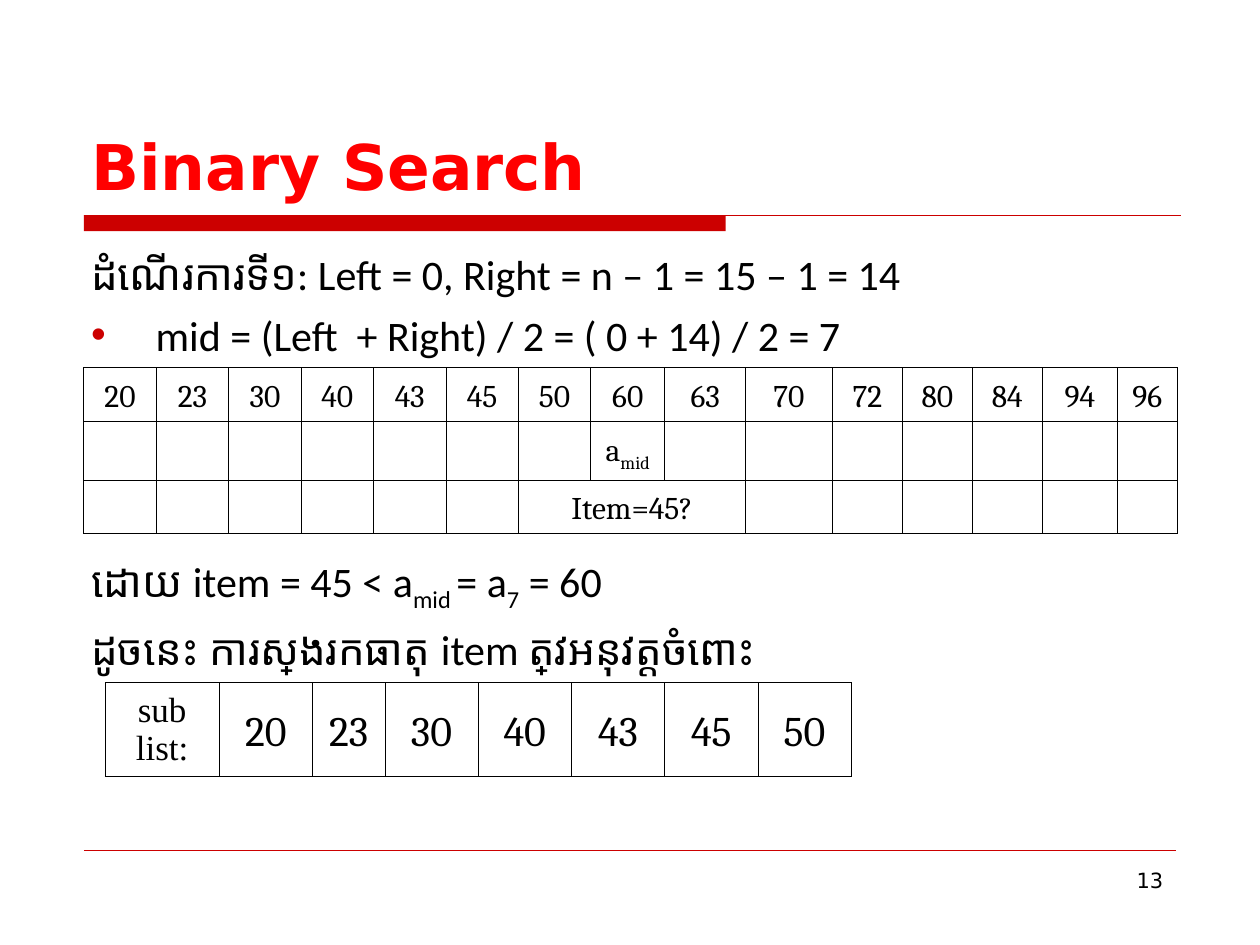
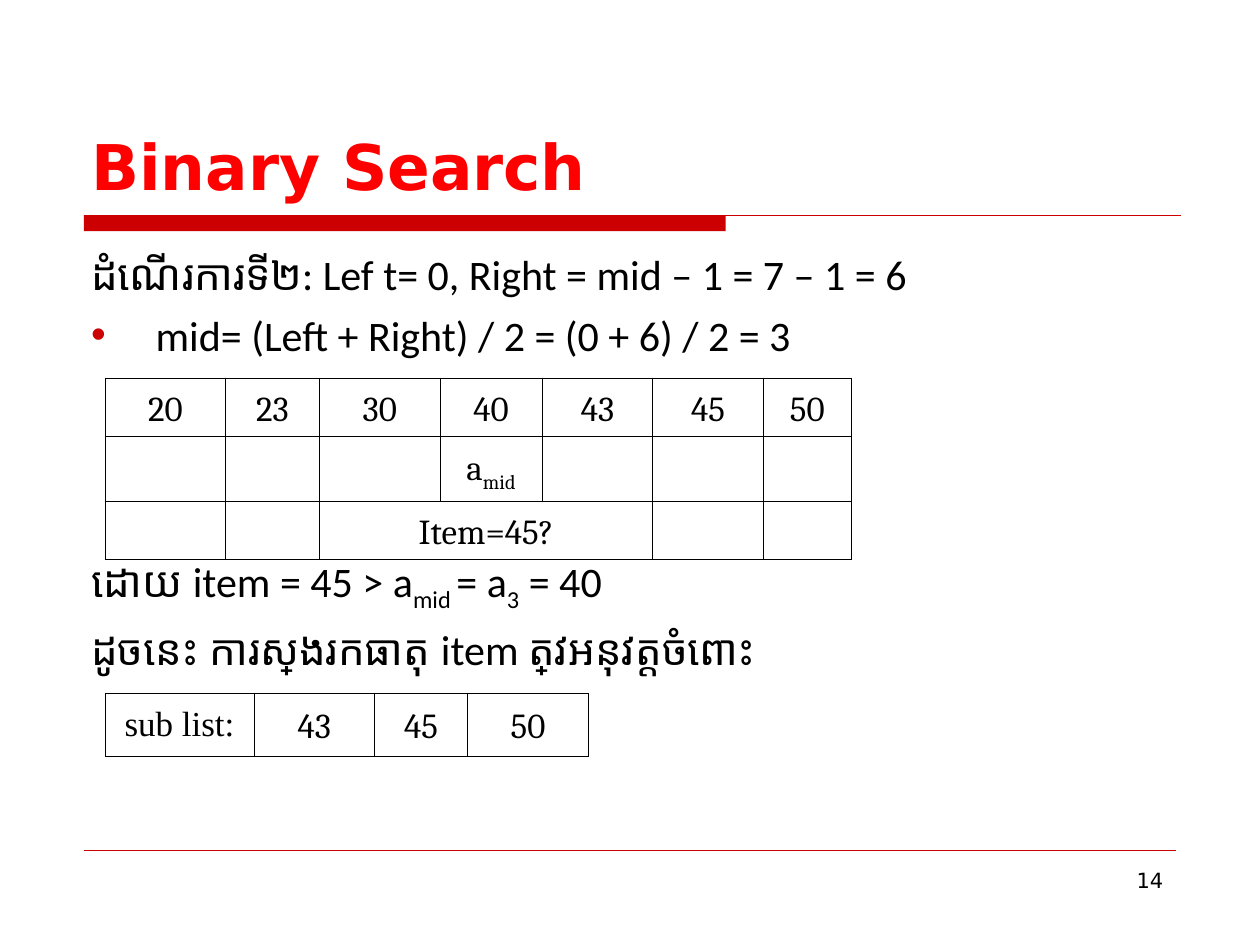
from lxml import etree
from pptx import Presentation
from pptx import util as u
from pptx.dml.color import RGBColor
from pptx.enum import shapes, text
from pptx.oxml import ns

# Shared look
RED, TITLE_RED, BLACK = "CC0000", "FF0000", "000000"
TITLE = {"name": "DejaVu Sans", "size": u.Pt(36), "bold": True}
BODY = {"name": "Calibri", "size": u.Pt(24)}
PAGE_NUMBER = {"name": "DejaVu Sans", "size": u.Pt(12)}
LABEL = {"name": "Times New Roman", "size": u.Pt(20)}
CELL = {"alignment": text.PP_ALIGN.CENTER, "line_spacing": 1.15, "space_after": u.Pt(10)}
LABEL_CELL = {"alignment": text.PP_ALIGN.CENTER}
CELL_BOX = {"margin_left": u.Cm(0.2), "margin_right": u.Cm(0.2),
            "margin_top": u.Cm(0.1), "margin_bottom": u.Cm(0.1),
            "vertical_anchor": text.MSO_ANCHOR.MIDDLE}
SUBSCRIPT_MARK = "~"
LEFT, RIGHT = 1.69, 23.71
LIST_LEFT = 2.12
CONCLUSION_GAP = u.Pt(112)  # room for the search table

# Per-slide content; text between two marks is subscript
STEPS = [
    {
        "page": "13",
        "range": "ដំណើរការទី១: Left = 0, Right = n – 1 = 15 – 1 = 14",
        "middle": "mid = (Left  + Right) / 2 = ( 0 + 14) / 2 = 7",
        "comparison": "ដោយ item = 45 < a~mid ~= a~7~ = 60",
        "values": [20, 23, 30, 40, 43, 45, 50, 60, 63, 70, 72, 80, 84, 94, 96],
        "search": {"left": LEFT, "top": 7.41, "row_heights": [0.88, 0.98, 0.88],
                   "widths": [1.46] * 7 + [1.49, 1.63, 1.75, 1.41, 1.41, 1.41, 1.52, 1.2]},
        "search_size": 18,
        "remaining": [20, 23, 30, 40, 43, 45, 50],
        "sublist": {"left": LIST_LEFT, "top": 13.76, "row_heights": [1.7],
                    "widths": [2.3, 1.88, 1.46] + [1.88] * 5},
        "sublist_size": 24,
    },
    {
        "page": "14",
        "range": "ដំណើរការទី២: Lef t= 0, Right = mid – 1 = 7 – 1 = 6",
        "middle": "mid= (Left + Right) / 2 = (0 + 6) / 2 = 3",
        "comparison": "ដោយ item = 45 > a~mid ~= a~3~ = 40",
        "values": [20, 23, 30, 40, 43, 45, 50],
        "search": {"left": LIST_LEFT, "top": 7.62, "row_heights": [0.97, 1.11, 0.97],
                   "widths": [2.43, 1.89, 2.43, 2.06, 2.23, 2.23, 1.77]},
        "search_size": 20,
        "remaining": [43, 45, 50],
        "sublist": {"left": LIST_LEFT, "top": 13.97, "row_heights": [1.27],
                    "widths": [3, 2.43, 1.88, 2.43]},
        "sublist_size": 20,
    },
]
CONCLUSION = "ដូចនេះ ការស្វែងរកធាតុ item ត្រូវអនុវត្តចំពោះ"


def rgb(value):
    return RGBColor.from_string(value)


def apply_format(target, values):
    for name, value in values.items():
        setattr(target, name, value)


def add_xml(parent, tag, index=None, **attributes):
    element = etree.Element(ns.qn(tag), attributes)
    parent.insert(len(parent) if index is None else index, element)
    return element


# Text
def write_runs(paragraph, content, font, color=BLACK):
    for index, part in enumerate(content.split(SUBSCRIPT_MARK)):
        if not part:
            continue
        run = paragraph.add_run()
        run.text = part
        apply_format(run.font, font)
        run.font.color.rgb = rgb(color)
        if index % 2:
            run.font._element.set("baseline", "-25000")


def add_text_box(slide, left, top, width, height, anchor=text.MSO_ANCHOR.TOP):
    box = slide.shapes.add_textbox(u.Cm(left), u.Cm(top), u.Cm(width), u.Cm(height))
    apply_format(box.text_frame, {"word_wrap": True, "vertical_anchor": anchor})
    return box.text_frame


def indent_bullet(paragraph):
    properties = paragraph._p.get_or_add_pPr()
    properties.set("marL", str(u.Cm(1.3)))
    properties.set("indent", str(-u.Cm(1.3)))
    add_xml(add_xml(properties, "a:buClr"), "a:srgbClr", val=RED)
    add_xml(properties, "a:buFont", typeface="Arial")
    add_xml(properties, "a:buChar", char="•")


def add_explanation(slide, step):
    frame = add_text_box(slide, 1.59, 4.88, 22.22, 11.85)
    lines = [(step["range"], None), (step["middle"], u.Pt(6)),
             (step["comparison"], CONCLUSION_GAP), (CONCLUSION, u.Pt(6))]
    for index, (content, gap) in enumerate(lines):
        paragraph = frame.add_paragraph() if index else frame.paragraphs[0]
        if gap:
            paragraph.space_before = gap
        if content == step["middle"]:
            indent_bullet(paragraph)
        write_runs(paragraph, content, BODY)


# Tables
def outline_cell(cell):
    cell.fill.background()
    properties = cell._tc.get_or_add_tcPr()
    for index, side in enumerate(("a:lnL", "a:lnR", "a:lnT", "a:lnB")):
        line = add_xml(properties, side, index, w=str(u.Pt(0.45)))
        add_xml(add_xml(line, "a:solidFill"), "a:srgbClr", val=BLACK)


def add_grid(slide, left, top, widths, row_heights):
    frame = slide.shapes.add_table(len(row_heights), len(widths), u.Cm(left), u.Cm(top),
                                   u.Cm(sum(widths)), u.Cm(sum(row_heights)))
    table = frame.table
    apply_format(table, {"first_row": False, "horz_banding": False})
    for column, width in zip(table.columns, widths):
        column.width = u.Cm(width)
    for row, height in zip(table.rows, row_heights):
        row.height = u.Cm(height)
    for cell in table.iter_cells():
        apply_format(cell, CELL_BOX)
        outline_cell(cell)
    return table


def write_cell(cell, content, font, layout=CELL):
    paragraph = cell.text_frame.paragraphs[0]
    apply_format(paragraph, layout)
    write_runs(paragraph, str(content), font)


def add_search_table(slide, step):
    table = add_grid(slide, **step["search"])
    font = {"name": "Cambria", "size": u.Pt(step["search_size"])}
    for column, value in enumerate(step["values"]):
        write_cell(table.cell(0, column), value, font)
    middle = len(step["values"]) // 2
    write_cell(table.cell(1, middle), "a~mid~", font)
    question = table.cell(2, middle - 1)
    question.merge(table.cell(2, middle + 1))
    write_cell(question, "Item=45?", font)


def add_sublist_table(slide, step):
    table = add_grid(slide, **step["sublist"])
    font = {"name": "Cambria", "size": u.Pt(step["sublist_size"])}
    write_cell(table.cell(0, 0), "sub list:", LABEL, LABEL_CELL)
    for column, value in enumerate(step["remaining"], start=1):
        write_cell(table.cell(0, column), value, font)


# Title band and footer
def add_rule(slide, top, right, weight):
    rule = slide.shapes.add_connector(shapes.MSO_CONNECTOR.STRAIGHT, u.Cm(LEFT), u.Cm(top),
                                      u.Cm(right), u.Cm(top))
    rule.line.color.rgb = rgb(RED)
    rule.line.width = u.Pt(weight)
    add_xml(rule._element.spPr, "a:effectLst")


def add_title_band(slide):
    band = slide.shapes.add_shape(shapes.MSO_SHAPE.RECTANGLE, u.Cm(LEFT), u.Cm(4.34),
                                  u.Cm(12.94), u.Cm(0.32))
    band.shadow.inherit = False
    band.fill.solid()
    band.fill.fore_color.rgb = rgb(RED)
    band.line.fill.background()
    add_rule(slide, 4.35, 23.8, 0.75)


def add_frame(slide, page):
    add_title_band(slide)
    add_rule(slide, 17.15, RIGHT, 0.25)
    title = add_text_box(slide, 1.59, 0.85, 22.22, 3.37, text.MSO_ANCHOR.BOTTOM)
    write_runs(title.paragraphs[0], "Binary Search", TITLE, TITLE_RED)
    number = add_text_box(slide, 18.2, 17.36, 5.5, 1.32).paragraphs[0]
    number.alignment = text.PP_ALIGN.RIGHT
    write_runs(number, page, PAGE_NUMBER)


def main():
    presentation = Presentation()
    apply_format(presentation, {"slide_width": u.Cm(25.4), "slide_height": u.Cm(19.05)})
    for step in STEPS:
        slide = presentation.slides.add_slide(presentation.slide_layouts[6])
        add_frame(slide, step["page"])
        add_explanation(slide, step)
        add_search_table(slide, step)
        add_sublist_table(slide, step)
    presentation.save("out.pptx")


if __name__ == "__main__":
    main()
